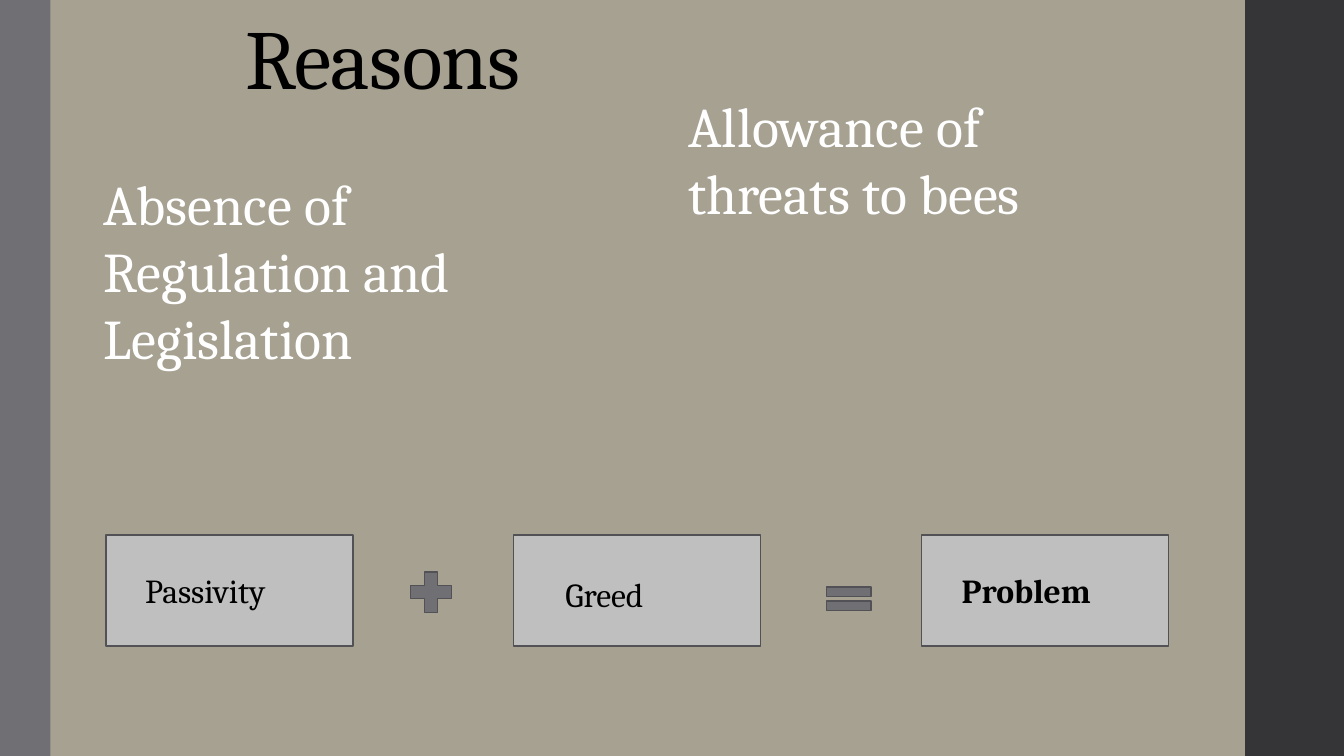
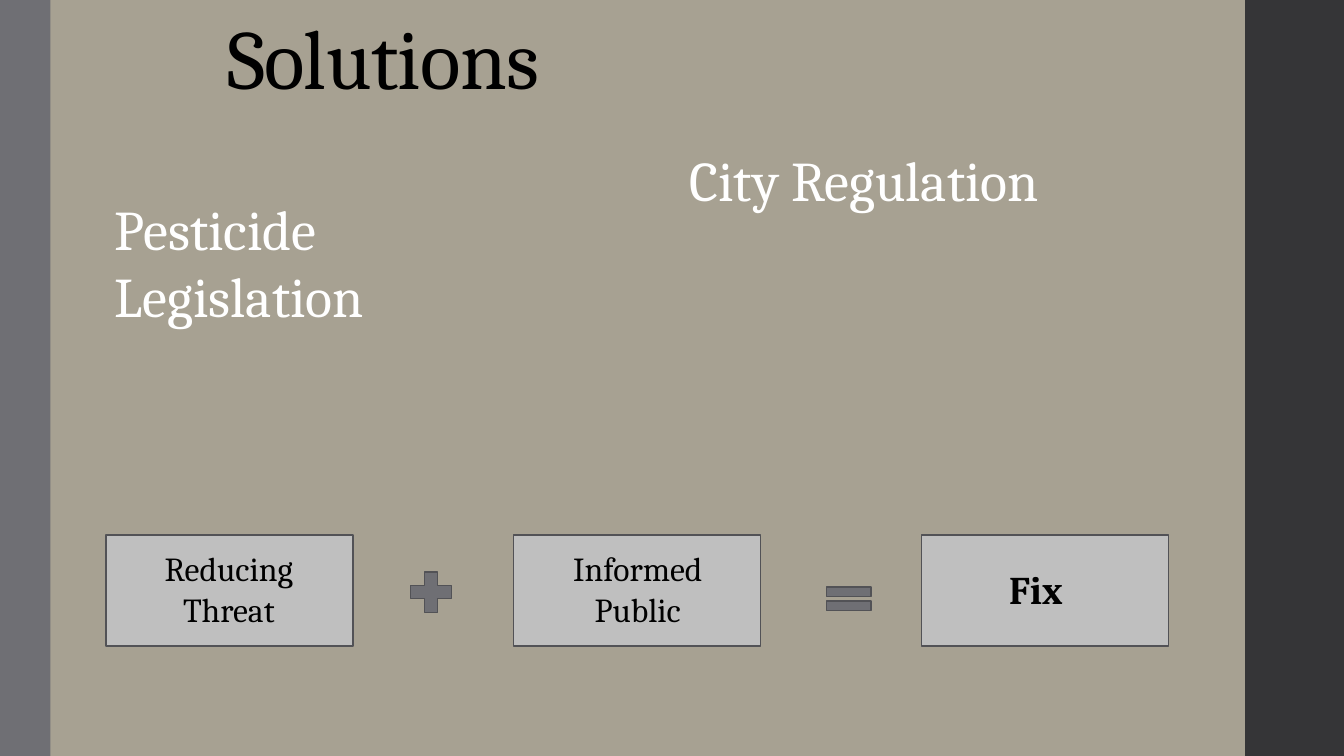
from pptx import Presentation
from pptx.dml.color import RGBColor
from pptx.enum import shapes, text
from pptx.util import Inches, Pt

BACKGROUND, BAND, ACCENT = "A7A192", "353537", "6F6F74"
BOX, OUTLINE, BLACK, WHITE = "BFBFBF", "525256", "000000", "FFFFFF"
FONT = "Cambria"
SHAPE = shapes.MSO_SHAPE
LEFT, CENTER = text.PP_ALIGN.LEFT, text.PP_ALIGN.CENTER


def add_shape(s, kind, at, fill, line=None):
    sp = s.shapes.add_shape(kind, *map(Inches, at))
    sp.shadow.inherit = False
    sp.fill.solid()
    sp.fill.fore_color.rgb = RGBColor.from_string(fill)
    if line:
        sp.line.color.rgb = RGBColor.from_string(line)
        sp.line.width = Pt(1.1)
    else:
        sp.line.fill.background()


def add_text(s, words, at, size, color=BLACK, align=LEFT, bold=False):
    sp = s.shapes.add_textbox(*map(Inches, at))
    tf = sp.text_frame
    tf.word_wrap = True
    tf.auto_size = text.MSO_AUTO_SIZE.SHAPE_TO_FIT_TEXT
    p = tf.paragraphs[0]
    p.alignment = align
    r = p.add_run()
    r.text = words
    for name, value in {"name": FONT, "size": Pt(size), "bold": bold}.items():
        setattr(r.font, name, value)
    r.font.color.rgb = RGBColor.from_string(color)
    return sp


# Each slide: title, white statements, and labels for the three boxes
slides = [
    {
        "title": "Reasons",
        "statements": [
            ("Absence of Regulation and Legislation", (0.93, 1.63, 4.43, 2.12)),
            ("Allowance of threats to bees", (6.73, 0.86, 4.43, 1.45)),
        ],
        "labels": [
            ("Passivity", (1.34, 5.6, 3.13, 0.5), 24, LEFT, False),
            ("Greed", (5.51, 5.64, 3.13, 0.5), 24, LEFT, False),
            ("Problem", (9.44, 5.6, 3.13, 0.5), 24, LEFT, True),
        ],
    },
    {
        "title": "Solutions",
        "statements": [
            ("Pesticide Legislation", (1.04, 1.88, 4.43, 1.45)),
            ("City Regulation", (6.74, 1.39, 4.43, 0.77)),
        ],
        "labels": [
            ("Reducing Threat", (1.16, 5.39, 2.22, 0.91), 24, CENTER, False),
            ("Informed Public", (5.47, 5.39, 1.71, 0.91), 24, CENTER, False),
            ("Fix", (9.91, 5.56, 3.13, 0.57), 28, LEFT, True),
        ],
    },
]

prs = Presentation()
prs.slide_width, prs.slide_height = Inches(13.33), Inches(7.5)

for content in slides:
    s = prs.slides.add_slide(prs.slide_layouts[6])

    # Background and side bands
    s.background.fill.solid()
    s.background.fill.fore_color.rgb = RGBColor.from_string(BACKGROUND)
    add_shape(s, SHAPE.RECTANGLE, (12.35, 0, 0.98, 7.5), BAND)
    add_shape(s, SHAPE.RECTANGLE, (0, 0, 0.5, 7.5), ACCENT)

    # Title
    sp = add_text(s, content["title"], (-1.35, -1.48, 10.3, 4.22), 60, align=CENTER)
    tf = sp.text_frame
    tf.auto_size = text.MSO_AUTO_SIZE.NONE
    tf.vertical_anchor = text.MSO_ANCHOR.MIDDLE
    p = tf.paragraphs[0]
    p.line_spacing = 0.85
    p.runs[0].font._element.set("spc", "-50")

    # Statements
    for words, at in content["statements"]:
        add_text(s, words, at, 40, WHITE)

    # Equation: box + box = box
    for i in range(3):
        add_shape(s, SHAPE.RECTANGLE, (1.05 + 4.045 * i, 5.31, 2.45, 1.1), BOX, OUTLINE)
    add_shape(s, SHAPE.MATH_PLUS, (4, 5.6, 0.55, 0.55), ACCENT, OUTLINE)
    add_shape(s, SHAPE.MATH_EQUAL, (8.12, 5.74, 0.6, 0.4), ACCENT, OUTLINE)
    for words, at, size, align, bold in content["labels"]:
        add_text(s, words, at, size, align=align, bold=bold)

prs.save("out.pptx")
